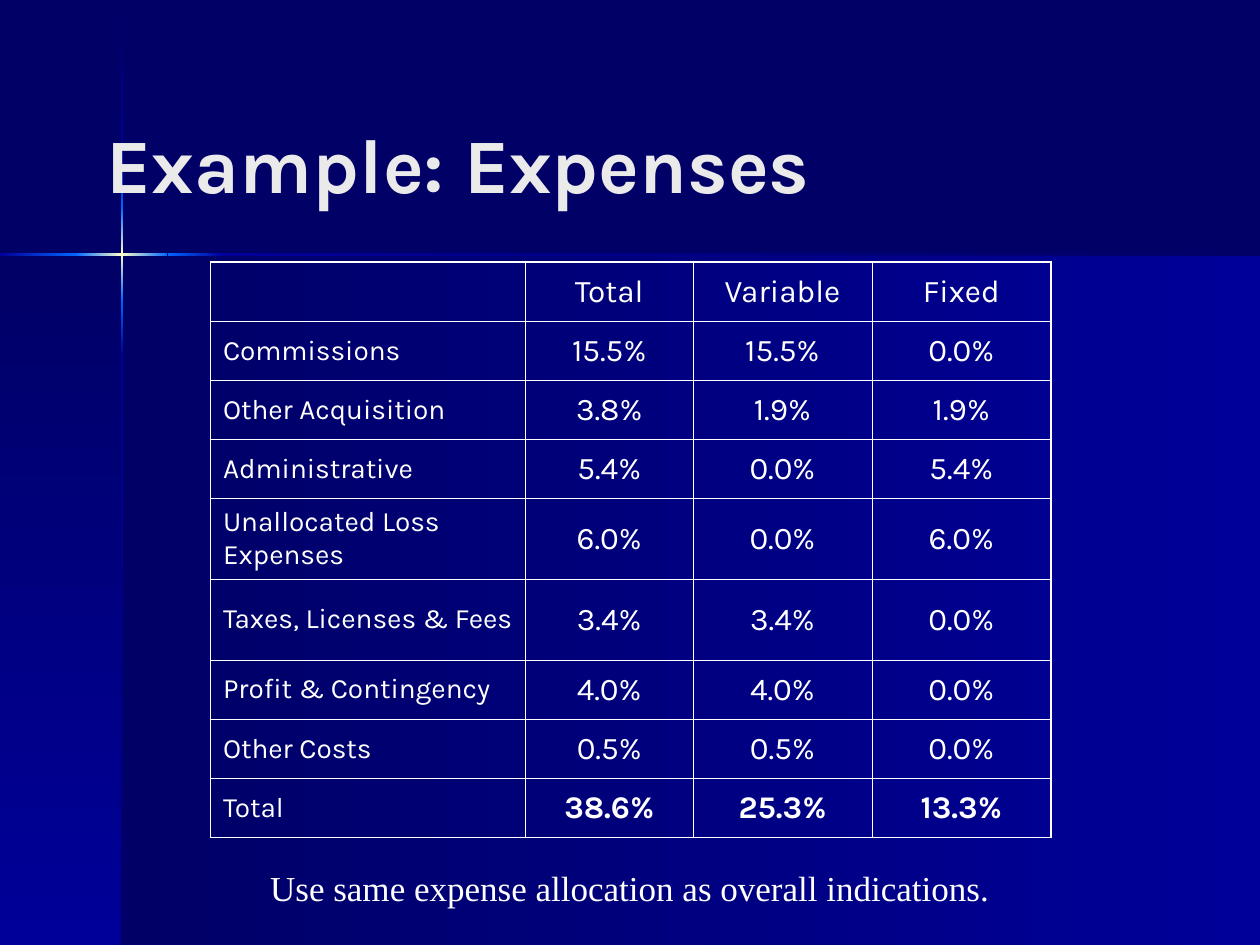
from typing import NamedTuple

from lxml.etree import SubElement
from pptx import Presentation
from pptx.dml.color import RGBColor
from pptx.enum.shapes import MSO_SHAPE as Shape
from pptx.enum.text import MSO_ANCHOR as Anchor, PP_ALIGN as Align
from pptx.oxml.ns import qn
from pptx.util import Inches, Pt

NAVY, BLUE, AZURE, CREAM = "000066", "000099", "0066FF", "FFFFCC"
WHITE, PALE = "FFFFFF", "EAEAEA"
SANS, SERIF = "Karla", "Times New Roman"
DOWN, LEFT = 90, 180
THIN, THICK = 0.45, 1.08


class Panel(NamedTuple):
    x: float
    y: float
    w: float
    h: float
    turn: int
    hues: tuple[str, ...]


class Style(NamedTuple):
    font: str
    size: float
    hue: str = WHITE
    bold: bool = False
    align: Align = Align.LEFT


GLOW = (AZURE, CREAM, AZURE)
PANELS = [
    Panel(0.97, 2.02, 9.03, 5.48, LEFT, (BLUE, NAVY)),
    Panel(0, 2.02, 0.97, 5.48, DOWN, (NAVY, BLUE)),
    Panel(0.96, 0.01, 0.02, 1.2, DOWN, (NAVY, BLUE)),
    Panel(0.96, 2.82, 0.02, 4.68, DOWN, (BLUE, NAVY)),
    Panel(1.77, 2.01, 8.23, 0.02, LEFT, (NAVY, BLUE)),
    Panel(0.96, 2.38, 0.02, 0.44, DOWN, (AZURE, BLUE)),
    Panel(0.96, 1.21, 0.02, 0.44, DOWN, (BLUE, AZURE)),
    Panel(0.96, 1.65, 0.02, 0.73, DOWN, GLOW),
    Panel(0, 2.01, 0.61, 0.02, LEFT, (AZURE, BLUE)),
    Panel(1.33, 2.01, 0.44, 0.02, LEFT, (BLUE, AZURE)),
    Panel(0.6, 2.01, 0.73, 0.02, LEFT, GLOW),
]

COLS = [2.5, 1.33, 1.42, 1.42]
ROW, TALL = 0.47, 0.64
ROWS = [
    ("", "Total", "Variable", "Fixed"),
    ("Commissions", "15.5%", "15.5%", "0.0%"),
    ("Other Acquisition", "3.8%", "1.9%", "1.9%"),
    ("Administrative", "5.4%", "0.0%", "5.4%"),
    ("Unallocated Loss Expenses", "6.0%", "0.0%", "6.0%"),
    ("Taxes, Licenses & Fees", "3.4%", "3.4%", "0.0%"),
    ("Profit & Contingency", "4.0%", "4.0%", "0.0%"),
    ("Other Costs", "0.5%", "0.5%", "0.0%"),
    ("Total", "38.6%", "25.3%", "13.3%"),
]
HIGHS = [TALL if i in (4, 5) else ROW for i in range(len(ROWS))]

TITLE = Style(SANS, 44, PALE, True)
LABEL = Style(SANS, 16)
VALUE = Style(SANS, 18, align=Align.CENTER)
TOTAL = VALUE._replace(bold=True)
NOTE = Style(SERIF, 20, align=Align.CENTER)


def color(code: str) -> RGBColor:
    return RGBColor.from_string(code)


def write(frame, text: str, style: Style) -> None:
    para = frame.paragraphs[0]
    para.alignment = style.align
    run = para.add_run()
    run.text = text
    font = run.font
    font.name, font.size, font.bold = style.font, Pt(style.size), style.bold
    font.color.rgb = color(style.hue)


def add_text(slide, x: float, y: float, w: float, h: float,
             text: str, style: Style, anchor: Anchor) -> None:
    box = slide.shapes.add_textbox(Inches(x), Inches(y), Inches(w), Inches(h))
    frame = box.text_frame
    frame.word_wrap = True
    frame.vertical_anchor = anchor
    write(frame, text, style)


def add_panel(slide, panel: Panel) -> None:
    """Draw a borderless box whose hues are spread evenly along its turn."""
    shape = slide.shapes.add_shape(
        Shape.RECTANGLE, Inches(panel.x), Inches(panel.y),
        Inches(panel.w), Inches(panel.h))
    shape.shadow.inherit = False
    shape.line.fill.background()
    shape.fill.gradient()
    shape.fill.gradient_angle = 360 - panel.turn
    stops = shape._element.spPr.find(".//" + qn("a:gsLst"))
    for stop in list(stops):
        stops.remove(stop)
    for i, hue in enumerate(panel.hues):
        place = 100000 * i // (len(panel.hues) - 1)
        stop = SubElement(stops, qn("a:gs"), pos=str(place))
        SubElement(stop, qn("a:srgbClr"), val=hue)


def add_edge(cell, side: str, width: float) -> None:
    props = cell._tc.get_or_add_tcPr()
    line = SubElement(props, qn("a:ln" + side), w=str(Pt(width)))
    fill = SubElement(line, qn("a:solidFill"))
    SubElement(fill, qn("a:srgbClr"), val=WHITE)


def add_grid(slide, x: float, y: float) -> None:
    """Draw the expense table with a thicker outer frame."""
    grid = slide.shapes.add_table(
        len(ROWS), len(COLS), Inches(x), Inches(y),
        Inches(sum(COLS)), Inches(sum(HIGHS))).table
    grid.first_row = grid.horz_banding = False
    for col, width in zip(grid.columns, COLS):
        col.width = Inches(width)
    last, end = len(ROWS) - 1, len(COLS) - 1
    for r, (row, high) in enumerate(zip(ROWS, HIGHS)):
        grid.rows[r].height = Inches(high)
        for c, text in enumerate(row):
            cell = grid.cell(r, c)
            outer = {"L": c == 0, "R": c == end, "T": r == 0, "B": r == last}
            for side, rim in outer.items():
                add_edge(cell, side, THICK if rim else THIN)
            cell.fill.background()
            cell.vertical_anchor = Anchor.MIDDLE
            if text:
                style = LABEL if c == 0 else TOTAL if r == last else VALUE
                write(cell.text_frame, text, style)


def main() -> None:
    deck = Presentation()
    deck.slide_width, deck.slide_height = Inches(10), Inches(7.5)
    slide = deck.slides.add_slide(deck.slide_layouts[6])
    back = slide.background.fill
    back.solid()
    back.fore_color.rgb = color(NAVY)
    for panel in PANELS:
        add_panel(slide, panel)
    add_text(slide, 0.75, 0.58, 8.5, 1.42, "Example: Expenses",
             TITLE, Anchor.MIDDLE)
    add_grid(slide, 1.67, 2.08)
    add_text(slide, 1, 6.83, 8, 0.44,
             "Use same expense allocation as overall indications.",
             NOTE, Anchor.TOP)
    deck.save("out.pptx")


if __name__ == "__main__":
    main()
